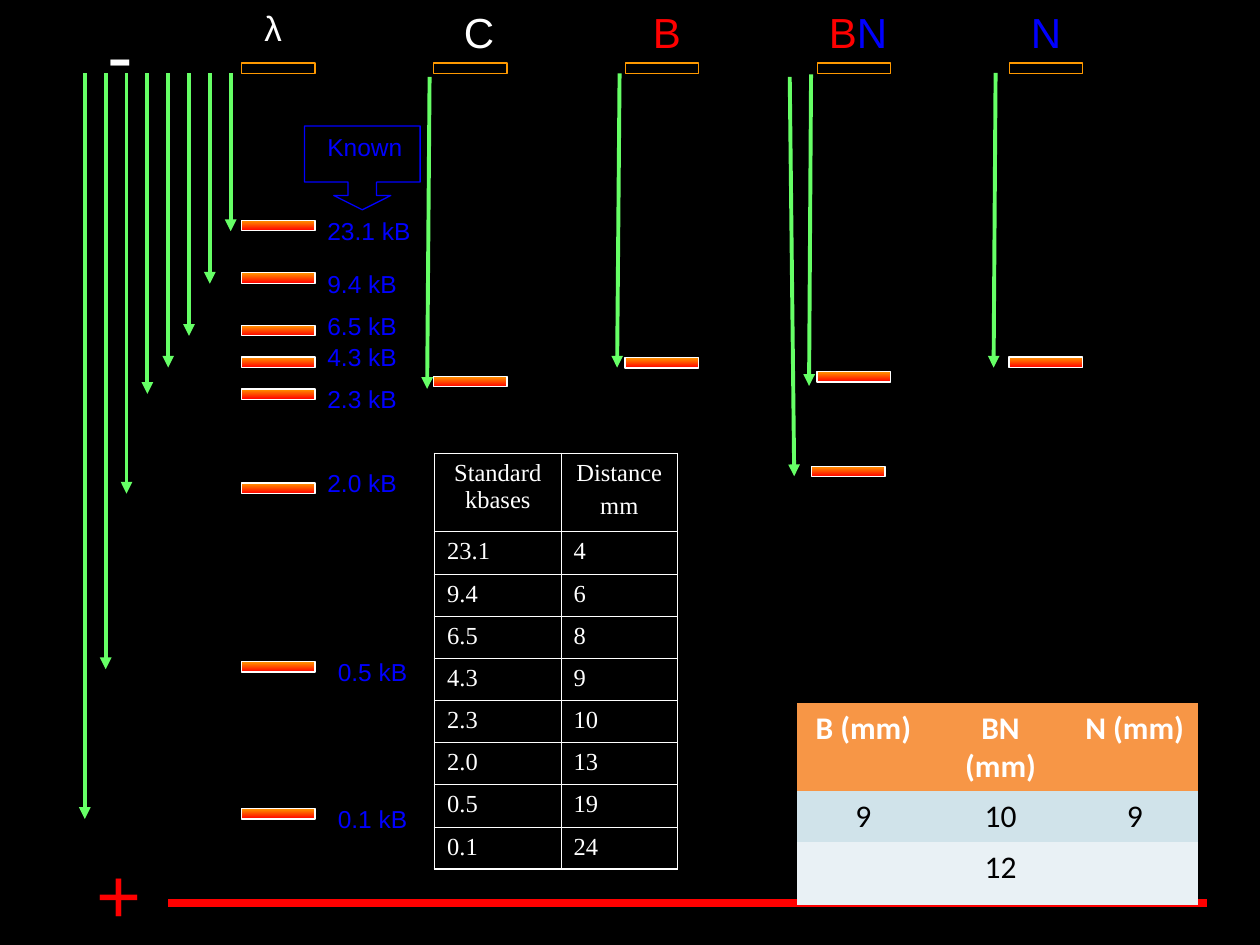
from lxml.etree import SubElement
from pptx import Presentation
from pptx.dml.color import RGBColor
from pptx.enum.shapes import MSO_CONNECTOR as Link, MSO_SHAPE as Shape
from pptx.enum.text import MSO_AUTO_SIZE as AutoSize, PP_ALIGN as Align
from pptx.oxml.ns import qn
from pptx.util import Cm, Pt

BLACK, WHITE, RED, BLUE = "000000", "FFFFFF", "FF0000", "0000FF"
ORANGE, GREEN = "FF9900", "66FF66"
NO_STYLE = "{2D5ABB26-0587-4C30-8999-92F81FD0307C}"

# size in kB, distance in mm, band top, label left, label top, label width, arrow end
LADDER = [
    ("23.1", "4", 4.44, 6.35, 4.23, 2.41, 4.66),
    ("9.4", "6", 5.5, 6.35, 5.29, 2.72, 5.72),
    ("6.5", "8", 6.56, 6.35, 6.14, 2.54, 6.77),
    ("4.3", "9", 7.2, 6.35, 6.77, 2.72, 7.41),
    ("2.3", "10", 7.84, 6.35, 7.62, 2.41, 7.94),
    ("2.0", "13", 9.74, 6.35, 9.31, 2.62, 9.95),
    ("0.5", "19", 13.34, 6.56, 13.12, 2.97, 13.49),
    ("0.1", "24", 16.3, 6.56, 16.09, 2.54, 16.51),
]
HEADINGS = [
    ([("+", RED)], 1.7, 16.94, 2.74, 2.13, 44),
    ([("-", WHITE)], 1.91, 0, 2.74, 2.13, 44),
    ([("λ", WHITE)], 5.08, 0, 3.38, 1.12, 20),
    ([("C", WHITE)], 9.1, 0, 2.12, 1.27, 24),
    ([("B", RED)], 12.91, 0, 2.12, 1.27, 24),
    ([("B", RED), ("N", BLUE)], 16.46, 0, 2.12, 1.27, 24),
    ([("N", BLUE)], 20.53, 0, 2.12, 1.27, 24),
]
SAMPLE_BANDS = [(8.74, 7.59), (12.6, 7.21), (16.47, 7.49), (16.36, 9.4), (20.34, 7.2)]
SAMPLE_ARROWS = [
    (8.66, 1.55, 8.61, 7.84),
    (12.49, 1.48, 12.44, 7.41),
    (16.35, 1.5, 16.31, 7.78),
    (15.92, 1.55, 16.01, 9.6),
    (20.07, 1.47, 20.03, 7.41),
]
DIGESTS = [["B (mm)", "BN (mm)", "N (mm)"], ["9", "10", "9"], ["", "12", ""]]
DIGEST_FILLS = ["F79646", "D0E3EA", "E9F1F5"]
LANE_LEFT, LANE_STEP, LANES, WELL_TOP = 4.87, 3.87, 5, 1.27
BAND_WIDTH, BAND_HEIGHT = 1.48, 0.21
ARROW_LEFT, ARROW_STEP, ARROW_TOP = 4.65, 0.42, 1.48


def color(value):
    return RGBColor.from_string(value)


def style(font, **values):
    font.color.rgb = color(values.pop("color"))
    for name, value in values.items():
        setattr(font, name, value)


def add_text(page, spans, left, top, width, height, size):
    box = page.shapes.add_textbox(Cm(left), Cm(top), Cm(width), Cm(height))
    box.text_frame.word_wrap = True
    box.text_frame.auto_size = AutoSize.SHAPE_TO_FIT_TEXT
    para = box.text_frame.paragraphs[0]
    for text, shade in spans:
        span = para.add_run()
        span.text = text
        style(span.font, name="Arial", size=Pt(size), color=shade)


def add_outline(page, kind, left, top, width, height, shade):
    shape = page.shapes.add_shape(kind, Cm(left), Cm(top), Cm(width), Cm(height))
    shape.shadow.inherit = False
    shape.fill.background()
    shape.line.color.rgb = color(shade)
    shape.line.width = Pt(0.75)
    return shape


def add_band(page, left, top):
    band = add_outline(page, Shape.RECTANGLE, left, top, BAND_WIDTH, BAND_HEIGHT, WHITE)
    band.fill.gradient()
    band.fill.gradient_angle = 270
    for stop, shade in zip(band.fill.gradient_stops, (ORANGE, RED)):
        stop.color.rgb = color(shade)


def add_line(page, start_x, start_y, end_x, end_y, shade, width, arrow=False):
    line = page.shapes.add_connector(
        Link.STRAIGHT, Cm(start_x), Cm(start_y), Cm(end_x), Cm(end_y))
    line.line.color.rgb = color(shade)
    line.line.width = Pt(width)
    if arrow:
        SubElement(line.line._get_or_add_ln(), qn("a:tailEnd"), type="triangle")
    SubElement(line._element.spPr, qn("a:effectLst"))


def add_grid(page, rows, left, top, widths, heights):
    frame = page.shapes.add_table(
        len(rows), len(widths), Cm(left), Cm(top), Cm(sum(widths)), Cm(sum(heights)))
    table = frame.table
    table.first_row = table.horz_banding = False
    table._tbl.tblPr.find(qn("a:tableStyleId")).text = NO_STYLE
    for column, width in zip(table.columns, widths):
        column.width = Cm(width)
    for row, height in zip(table.rows, heights):
        row.height = Cm(height)
    for row, texts in zip(table.rows, rows):
        for cell, text in zip(row.cells, texts):
            cell.text = text
    return table


def add_borders(cell, outer):
    for side in ("lnL", "lnR", "lnT", "lnB"):
        width = Pt(1.08 if side in outer else 0.45)
        border = SubElement(cell._tc.get_or_add_tcPr(), qn(f"a:{side}"), w=str(width))
        SubElement(SubElement(border, qn("a:solidFill")), qn("a:srgbClr"), val=WHITE)


def add_standards(page):
    rows = [("Standard kbases", "Distance\nmm")] + [entry[:2] for entry in LADDER]
    table = add_grid(page, rows, 8.76, 9.14, [2.55, 2.35], [1.58] + [0.85] * len(LADDER))
    for r, row in enumerate(table.rows):
        for c, cell in enumerate(row.cells):
            outer = ["lnR" if c else "lnL"]
            outer += ["lnT"] * (r == 0) + ["lnB"] * (r == len(LADDER))
            add_borders(cell, outer)
            cell.fill.background()
            for p, para in enumerate(cell.text_frame.paragraphs):
                para.alignment = Align.LEFT if r else Align.CENTER
                if p:
                    para.space_before = Pt(3.5)
                style(para.font, name="Times New Roman", size=Pt(14), color=WHITE)


def add_digests(page):
    table = add_grid(page, DIGESTS, 16.06, 14.17, [2.69, 2.84, 2.57], [1.78, 1.02, 1.27])
    for r, (row, shade) in enumerate(zip(table.rows, DIGEST_FILLS)):
        for cell in row.cells:
            cell.fill.solid()
            cell.fill.fore_color.rgb = color(shade)
            para = cell.text_frame.paragraphs[0]
            para.alignment = Align.CENTER
            style(para.font, name="Calibri", size=Pt(18), bold=r == 0,
                  color=BLACK if r else WHITE)


def main():
    deck = Presentation()
    deck.slide_width, deck.slide_height = Cm(25.4), Cm(19.05)
    page = deck.slides.add_slide(deck.slide_layouts[6])
    page.background.fill.solid()
    page.background.fill.fore_color.rgb = color(BLACK)

    add_line(page, 3.39, 18.2, 24.34, 18.2, RED, 4.5)
    for heading in HEADINGS:
        add_text(page, *heading)
    for lane in range(LANES):
        add_outline(page, Shape.RECTANGLE, LANE_LEFT + lane * LANE_STEP, WELL_TOP,
                    BAND_WIDTH, BAND_HEIGHT, ORANGE)
    for i, (size, _, band_top, left, top, width, end) in enumerate(LADDER):
        x = ARROW_LEFT - i * ARROW_STEP
        add_line(page, x, ARROW_TOP, x, end, GREEN, 2.25, arrow=True)
        add_band(page, LANE_LEFT, band_top)
        add_text(page, [(f"{size} kB", BLUE)], left, top, width, 0.86, 14)
    for band in SAMPLE_BANDS:
        add_band(page, *band)

    callout = add_outline(page, Shape.DOWN_ARROW_CALLOUT, 6.14, 2.54, 2.33, 1.69, BLUE)
    for i, value in enumerate((0.34, 0.34, 0.17, 0.67)):
        callout.adjustments[i] = value
    add_text(page, [("Known", BLUE)], 6.35, 2.54, 2.12, 0.86, 14)

    for arrow in SAMPLE_ARROWS:
        add_line(page, *arrow, GREEN, 2.25, arrow=True)
    add_standards(page)
    add_digests(page)
    deck.save("out.pptx")


if __name__ == "__main__":
    main()
